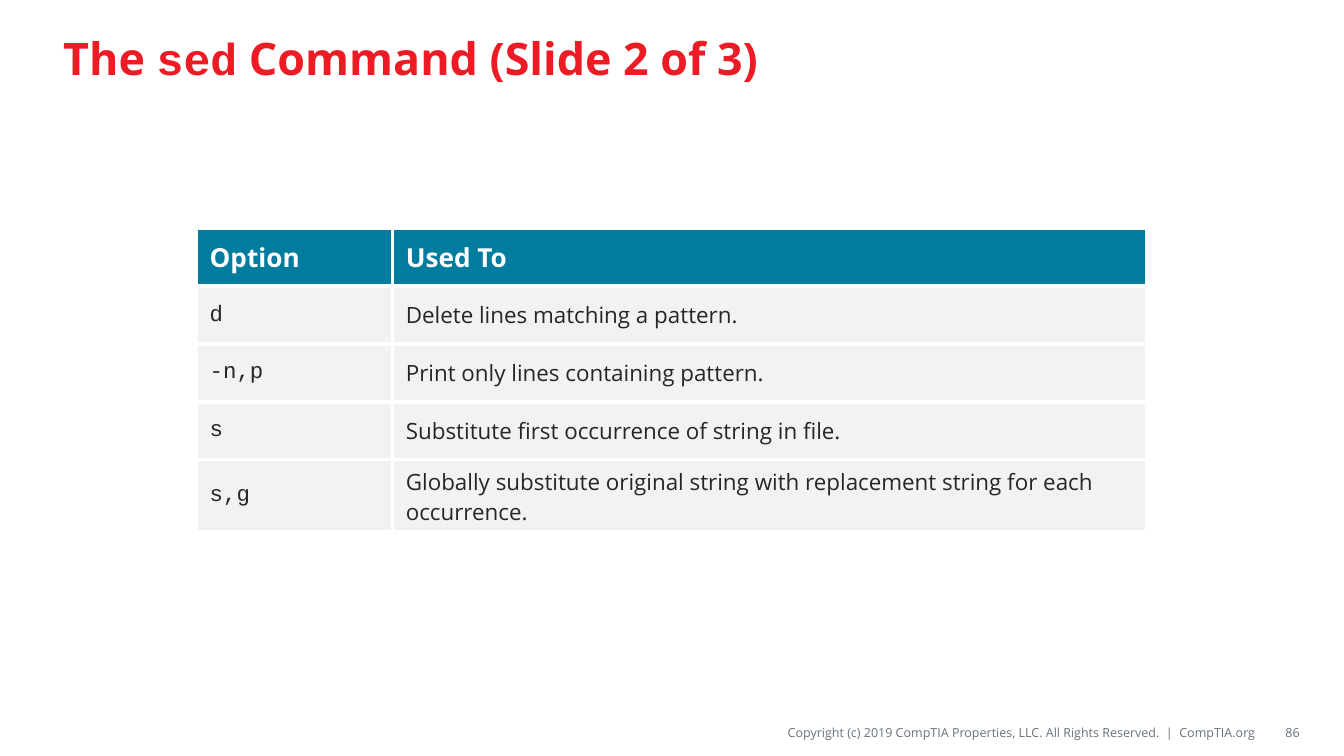
from lxml.etree import SubElement
from pptx import Presentation
from pptx.dml.color import RGBColor
from pptx.enum.text import MSO_ANCHOR as Anchor, MSO_AUTO_SIZE as AutoSize, PP_ALIGN as Align
from pptx.oxml import parse_xml
from pptx.oxml.ns import nsdecls, qn
from pptx.util import Inches, Pt

RED = RGBColor(0xED, 0x1C, 0x24)
TEAL = RGBColor(0x00, 0x7C, 0x9E)
WHITE = RGBColor(0xFF, 0xFF, 0xFF)
LIGHT_GRAY = RGBColor(0xF2, 0xF2, 0xF2)
DARK_GRAY = RGBColor(0x26, 0x26, 0x26)
SLATE = RGBColor(0x69, 0x72, 0x7B)
SANS = "Open Sans"
MONO = "Courier New"

SLIDE_WIDTH = Inches(10)
SLIDE_HEIGHT = SLIDE_WIDTH * 9 // 16
COLUMN_WIDTHS = (1.46, 5.61)
ROW_HEIGHTS = (0.43, 0.43, 0.43, 0.43, 0.54)
BORDER_WIDTH = Pt(2.25)
ROWS = (
    ("Option", "Used To"),
    ("d", "Delete lines matching a pattern."),
    ("-n,p", "Print only lines containing pattern."),
    ("s", "Substitute first occurrence of string in file."),
    ("s,g", "Globally substitute original string with replacement string for each occurrence."),
)


def style_font(font, name, size, color, bold=False):
    font.name = name
    font.size = Pt(size)
    font.bold = bold
    font.color.rgb = color


def set_title(slide):
    title = slide.shapes.title
    title.left, title.top, title.width, title.height = map(Inches, (0.37, 0.08, 9.25, 0.69))
    frame = title.text_frame
    frame.auto_size = AutoSize.NONE
    frame.vertical_anchor = Anchor.MIDDLE
    paragraph = frame.paragraphs[0]
    paragraph.alignment = Align.LEFT
    for text, name in (("The ", SANS), ("sed", MONO), (" Command (Slide 2 of 3)", SANS)):
        run = paragraph.add_run()
        run.text = text
        style_font(run.font, name, 24, RED, True)


def add_footer_text(slide, text, left, width):
    box = slide.shapes.add_textbox(*map(Inches, (left, 5.34, width, 0.22)))
    frame = box.text_frame
    frame.word_wrap = True
    frame.vertical_anchor = Anchor.MIDDLE
    frame.margin_left = frame.margin_right = 0
    frame.margin_top = frame.margin_bottom = Inches(0.04)
    paragraph = frame.paragraphs[0]
    paragraph.text = text
    paragraph.alignment = Align.RIGHT
    style_font(paragraph.font, SANS, 6.75, SLATE)


def add_borders(cell):
    properties = cell._tc.get_or_add_tcPr()
    for index, side in enumerate(("lnL", "lnR", "lnT", "lnB")):
        line = parse_xml(f'<a:{side} {nsdecls("a")} w="{BORDER_WIDTH}"/>')
        fill = SubElement(line, qn("a:solidFill"))
        SubElement(fill, qn("a:srgbClr"), val=str(WHITE))
        properties.insert(index, line)


def fill_cell(cell, text, is_header, is_option):
    cell.vertical_anchor = Anchor.MIDDLE
    cell.fill.solid()
    cell.fill.fore_color.rgb = TEAL if is_header else LIGHT_GRAY
    add_borders(cell)
    paragraph = cell.text_frame.paragraphs[0]
    paragraph.text = text
    if is_header:
        style_font(paragraph.font, SANS, 14, WHITE, True)
    else:
        style_font(paragraph.font, MONO if is_option else SANS, 12, DARK_GRAY)


def add_option_table(slide):
    size = (sum(COLUMN_WIDTHS), sum(ROW_HEIGHTS))
    table = slide.shapes.add_table(
        len(ROWS), len(COLUMN_WIDTHS), *map(Inches, (1.46, 1.7, *size))
    ).table
    table.horz_banding = False
    for column, width in zip(table.columns, COLUMN_WIDTHS):
        column.width = Inches(width)
    for row, height in zip(table.rows, ROW_HEIGHTS):
        row.height = Inches(height)
    for row_index, texts in enumerate(ROWS):
        for column_index, text in enumerate(texts):
            cell = table.cell(row_index, column_index)
            fill_cell(cell, text, row_index == 0, column_index == 0)


def main():
    presentation = Presentation()
    presentation.slide_width = SLIDE_WIDTH
    presentation.slide_height = SLIDE_HEIGHT
    slide = presentation.slides.add_slide(presentation.slide_layouts[5])
    add_footer_text(
        slide,
        "Copyright (c) 2019 CompTIA Properties, LLC. All Rights Reserved.  |  CompTIA.org",
        3.88,
        5.47,
    )
    set_title(slide)
    add_footer_text(slide, "86", 9.38, 0.29)
    add_option_table(slide)
    presentation.save("out.pptx")


if __name__ == "__main__":
    main()
